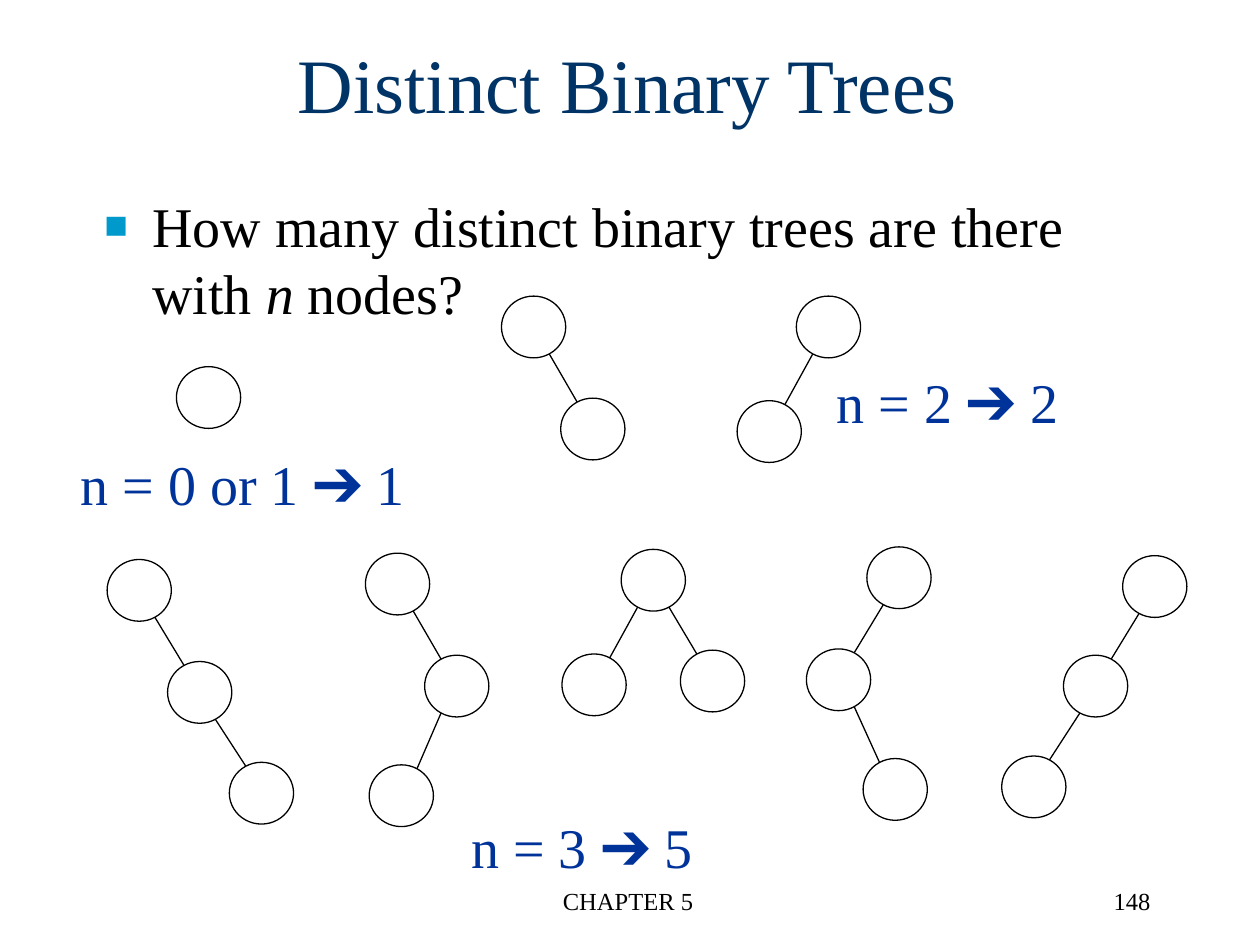
from pptx import Presentation
from pptx.dml.color import RGBColor
from pptx.enum.shapes import MSO_CONNECTOR, MSO_SHAPE
from pptx.enum.text import MSO_ANCHOR, MSO_AUTO_SIZE, PP_ALIGN
from pptx.oxml.ns import qn
from pptx.util import Inches, Pt
from lxml import etree

CENTER, LEFT, RIGHT = PP_ALIGN.CENTER, PP_ALIGN.LEFT, PP_ALIGN.RIGHT
MIDDLE, TOP = MSO_ANCHOR.MIDDLE, MSO_ANCHOR.TOP
FIXED, GROW = MSO_AUTO_SIZE.NONE, MSO_AUTO_SIZE.SHAPE_TO_FIT_TEXT
OVAL, STRAIGHT = MSO_SHAPE.OVAL, MSO_CONNECTOR.STRAIGHT

THEME = {
    "font": "Times New Roman",
    "title": (44, "003366"),
    "body": (32, "000000"),
    "label": (32, "003399"),
    "footer": (14, "000000"),
    "bullet": "0099CC",
    "line": "000000",
}

# Content
TITLE = "Distinct Binary Trees"
QUESTION = [("How many distinct binary trees are there with ", False),
            ("n", True), (" nodes?", False)]
LABELS = [
    ("n = 0 or 1 ➔ 1", (0.54, 3.52, 2.99, 0.64)),
    ("n = 2 ➔ 2", (6.54, 2.87, 2.17, 0.64)),
    ("n = 3 ➔ 5", (3.64, 6.4, 2.05, 0.64)),
]
FOOTERS = [
    ("CHAPTER 5", (3.4, 6.98, 3.17, 0.5), CENTER),
    ("148", (7.15, 6.98, 2.08, 0.5), RIGHT),
]
# Each tree: node corners (left, top), then edges as (parent, child)
TREES = [
    ([(1.4, 2.91)], []),
    ([(3.98, 2.35), (4.45, 3.16)], [(0, 1)]),
    ([(6.32, 2.35), (5.85, 3.18)], [(0, 1)]),
    ([(0.85, 4.44), (1.33, 5.25), (1.82, 6.05)], [(0, 1), (1, 2)]),
    ([(2.9, 4.39), (3.37, 5.2), (2.93, 6.07)], [(0, 1), (1, 2)]),
    ([(4.93, 4.36), (5.4, 5.16), (4.46, 5.19)], [(0, 1), (0, 2)]),
    ([(6.88, 4.34), (6.4, 5.15), (6.85, 6.02)], [(0, 1), (1, 2)]),
    ([(8.91, 4.41), (8.44, 5.2), (7.95, 6.0)], [(0, 1), (1, 2)]),
]
NODE_WIDTH, NODE_HEIGHT = 0.51, 0.49
NEAR, FAR = 0.13, 0.38          # where edges meet a node, from its left
EDGE_LEAVE, EDGE_ARRIVE = 0.46, 0.03   # and from its top


def fill_text(frame, spans, style, align=LEFT, anchor=TOP, wrap=True, fit=FIXED):
    size, color = THEME[style]
    frame.word_wrap, frame.auto_size = wrap, fit
    frame.vertical_anchor = anchor
    para = frame.paragraphs[0]
    para.alignment = align
    for text, italic in spans:
        span = para.add_run()
        span.text = text
        font = span.font
        font.name, font.size, font.italic = THEME["font"], Pt(size), italic
        font.color.rgb = RGBColor.from_string(color)
    return para


def add_text(page, place, *args, **options):
    box = page.shapes.add_textbox(*map(Inches, place))
    return fill_text(box.text_frame, *args, **options)


def add_bullet(para):
    properties = para._p.get_or_add_pPr()
    properties.set("marL", str(Inches(0.38)))
    properties.set("indent", str(-Inches(0.38)))
    color = etree.SubElement(properties, qn("a:buClr"))
    etree.SubElement(color, qn("a:srgbClr"), val=THEME["bullet"])
    etree.SubElement(properties, qn("a:buSzPct"), val="70000")
    etree.SubElement(properties, qn("a:buFont"), typeface=THEME["font"])
    etree.SubElement(properties, qn("a:buChar"), char="■")


def outline(shape):
    shape.line.color.rgb = RGBColor.from_string(THEME["line"])
    shape.line.width = Pt(0.75)


def add_tree(page, nodes, edges):
    for left, top in nodes:
        node = page.shapes.add_shape(OVAL, Inches(left), Inches(top),
                                     Inches(NODE_WIDTH), Inches(NODE_HEIGHT))
        node.shadow.inherit = False
        node.fill.background()
        outline(node)
    for parent, child in edges:
        (x1, y1), (x2, y2) = nodes[parent], nodes[child]
        leave, arrive = (FAR, NEAR) if x2 > x1 else (NEAR, FAR)
        ends = (x1 + leave, y1 + EDGE_LEAVE, x2 + arrive, y2 + EDGE_ARRIVE)
        edge = page.shapes.add_connector(STRAIGHT, *map(Inches, ends))
        outline(edge)
        etree.SubElement(edge._element.spPr, qn("a:effectLst"))


def main():
    deck = Presentation()
    deck.slide_width, deck.slide_height = Inches(10), Inches(7.5)
    page = deck.slides.add_slide(deck.slide_layouts[5])

    # Title and question
    title = page.shapes.title
    title.left, title.top, title.width, title.height = map(
        Inches, (0.73, 0.03, 8.5, 1.25))
    fill_text(title.text_frame, [(TITLE, False)], "title", CENTER, MIDDLE)
    add_bullet(add_text(page, (0.73, 1.47, 8.5, 4.5), QUESTION, "body"))

    # Trees and their counts
    for nodes, edges in TREES:
        add_tree(page, nodes, edges)
    for text, place in LABELS:
        add_text(page, place, [(text, False)], "label", wrap=False, fit=GROW)

    # Footer
    for text, place, align in FOOTERS:
        add_text(page, place, [(text, False)], "footer", align)

    deck.save("out.pptx")


if __name__ == "__main__":
    main()
